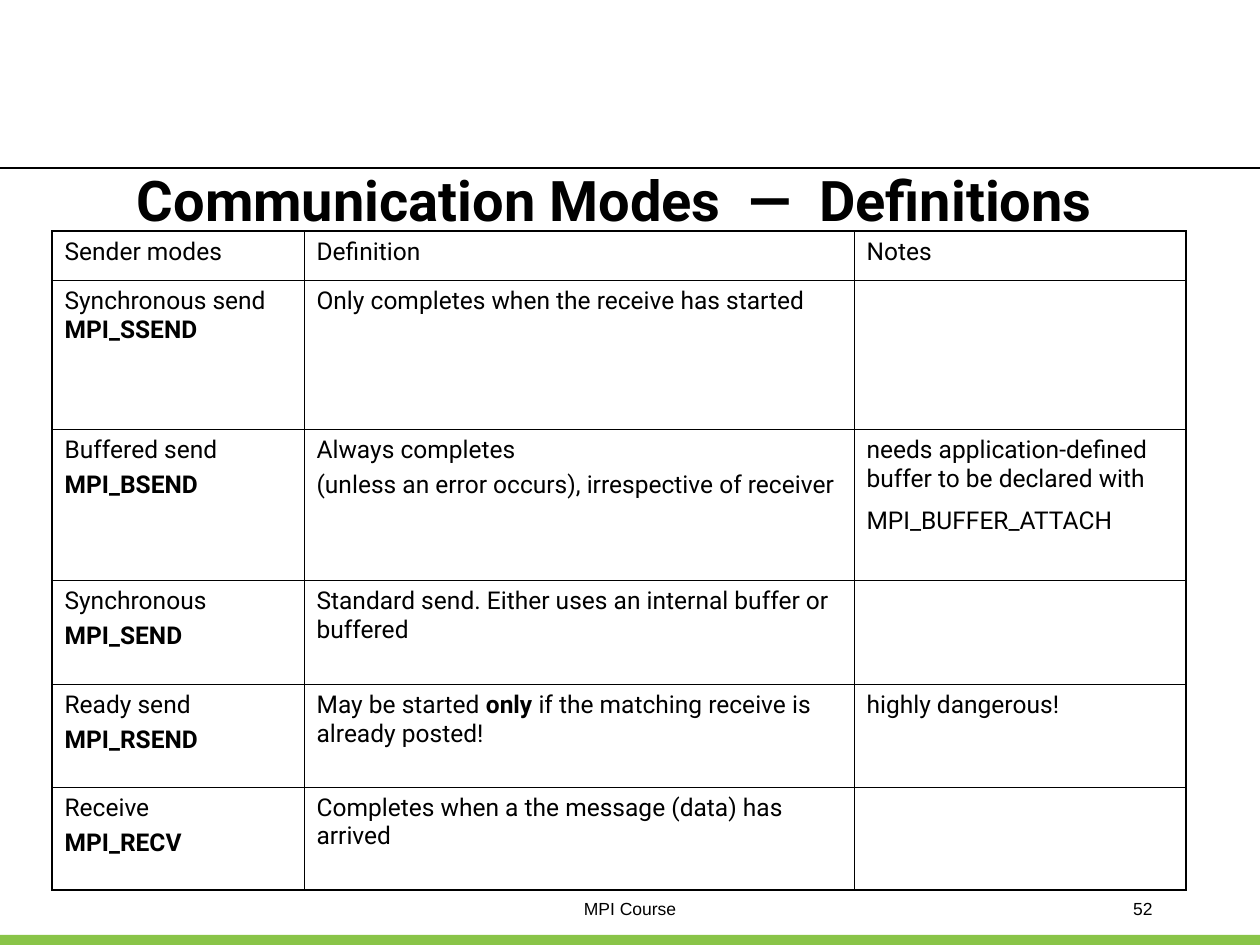
"""Build the slide that defines the MPI communication modes."""
from lxml.etree import SubElement
from pptx import Presentation
from pptx.dml.color import RGBColor
from pptx.enum.shapes import MSO_CONNECTOR as Connector, MSO_SHAPE as Shape
from pptx.enum.text import MSO_ANCHOR as Anchor, MSO_AUTO_SIZE as AutoSize, PP_ALIGN as Align
from pptx.oxml import parse_xml
from pptx.oxml.ns import nsdecls, qn
from pptx.util import Pt

EMU_PER_PX = 914400 / 126
BLACK, GREEN = "000000", "89C448"
OUTER, INNER = 1.08, 0.45
COLUMNS = [252, 550, 332]
ROWS = [49, 149, 151, 104, 103, 103]
NARROW_GAP, WIDE_GAP = 3.5, 7.9


def px(length):
    return round(length * EMU_PER_PX)


def color(code):
    return RGBColor.from_string(code)


def place(shape, *box):
    shape.left, shape.top, shape.width, shape.height = map(px, box)


def add_run(paragraph, text, size, font="Roboto", bold=False):
    run = paragraph.add_run()
    run.text = text
    run.font.name, run.font.size, run.font.bold = font, Pt(size), bold
    run.font.color.rgb = color(BLACK)


def add_bar(slide, *box):
    bar = slide.shapes.add_shape(Shape.RECTANGLE, *map(px, box))
    bar.shadow.inherit = False
    bar.fill.solid()
    bar.fill.fore_color.rgb = color(GREEN)
    bar.line.fill.background()


def add_rule(slide, *ends):
    rule = slide.shapes.add_connector(Connector.STRAIGHT, *map(px, ends))
    rule.line.color.rgb = color(BLACK)
    rule.line.width = Pt(0.75)
    SubElement(rule._element.spPr, qn("a:effectLst"))


def add_footer(slide, text, align, *box):
    frame = slide.shapes.add_textbox(*map(px, box)).text_frame
    frame.word_wrap = True
    frame.paragraphs[0].alignment = align
    add_run(frame.paragraphs[0], text, 10, "Arial")


def set_title(slide, text, *box):
    title = slide.shapes.title
    place(title, *box)
    frame = title.text_frame
    frame.auto_size, frame.vertical_anchor = AutoSize.NONE, Anchor.MIDDLE
    frame.paragraphs[0].alignment = Align.CENTER
    add_run(frame.paragraphs[0], text, 32, bold=True)


def set_borders(cell, widths):
    properties = cell._tc.get_or_add_tcPr()
    for index, (side, width) in enumerate(zip("LRTB", widths)):
        properties.insert(index, parse_xml(
            f'<a:ln{side} {nsdecls("a")} w="{Pt(width)}"><a:solidFill>'
            f'<a:srgbClr val="{BLACK}"/></a:solidFill></a:ln{side}>'))


def fill_cell(cell, paragraphs, gap):
    """Write paragraphs of (text, bold) runs, with the gap in points between them."""
    for index, runs in enumerate(paragraphs):
        paragraph = cell.text_frame.paragraphs[0] if index == 0 else cell.text_frame.add_paragraph()
        if index:
            paragraph.space_before = Pt(gap)
        for text, bold in runs:
            add_run(paragraph, text, 14, bold=bold)


def add_modes_table(slide, left, top, content):
    frame = slide.shapes.add_table(len(ROWS), len(COLUMNS), px(left), px(top),
                                   px(sum(COLUMNS)), px(sum(ROWS)))
    table = frame.table
    table.first_row = table.horz_banding = False
    for column, width in zip(table.columns, COLUMNS):
        column.width = px(width)
    for row, height in zip(table.rows, ROWS):
        row.height = px(height)
    last_row, last_column = len(ROWS) - 1, len(COLUMNS) - 1
    for r, texts in enumerate(content):
        for c, paragraphs in enumerate(texts):
            cell = table.cell(r, c)
            cell.fill.background()
            at_edge = (c == 0, c == last_column, r == 0, r == last_row)
            set_borders(cell, [OUTER if edge else INNER for edge in at_edge])
            fill_cell(cell, paragraphs, WIDE_GAP if c == last_column else NARROW_GAP)


def plain(*lines):
    return [[(line, False)] for line in lines]


def mode(name, call):
    return [[(name, False)], [(call, True)]]


def main():
    deck = Presentation()
    deck.slide_width, deck.slide_height = px(1260), px(945)
    slide = deck.slides.add_slide(deck.slide_layouts[5])
    add_bar(slide, 0, 935, 1260, 10)
    add_rule(slide, 0, 168, 1260, 168)
    add_footer(slide, "MPI Course", Align.CENTER, 399, 892, 462, 32)
    add_footer(slide, "52", Align.RIGHT, 903, 892, 262, 32)
    set_title(slide, "Communication Modes  —  Definitions", 32, 168, 1166, 63)
    add_modes_table(slide, 52, 231, [
        [plain("Sender modes"), plain("Definition"), plain("Notes")],
        [[[("Synchronous send ", False), ("MPI_SSEND", True)]],
         plain("Only completes when the receive has started"), []],
        [mode("Buffered send", "MPI_BSEND"),
         plain("Always completes", "(unless an error occurs), irrespective of receiver"),
         plain("needs application-defined buffer to be declared with", "MPI_BUFFER_ATTACH")],
        [mode("Synchronous", "MPI_SEND"),
         plain("Standard send. Either uses an internal buffer or buffered"), []],
        [mode("Ready send", "MPI_RSEND"),
         [[("May be started ", False), ("only ", True),
           ("if the matching receive is already posted!", False)]],
         plain("highly dangerous!")],
        [mode("Receive", "MPI_RECV"),
         plain("Completes when a the message (data) has arrived"), []],
    ])
    deck.save("out.pptx")


if __name__ == "__main__":
    main()
